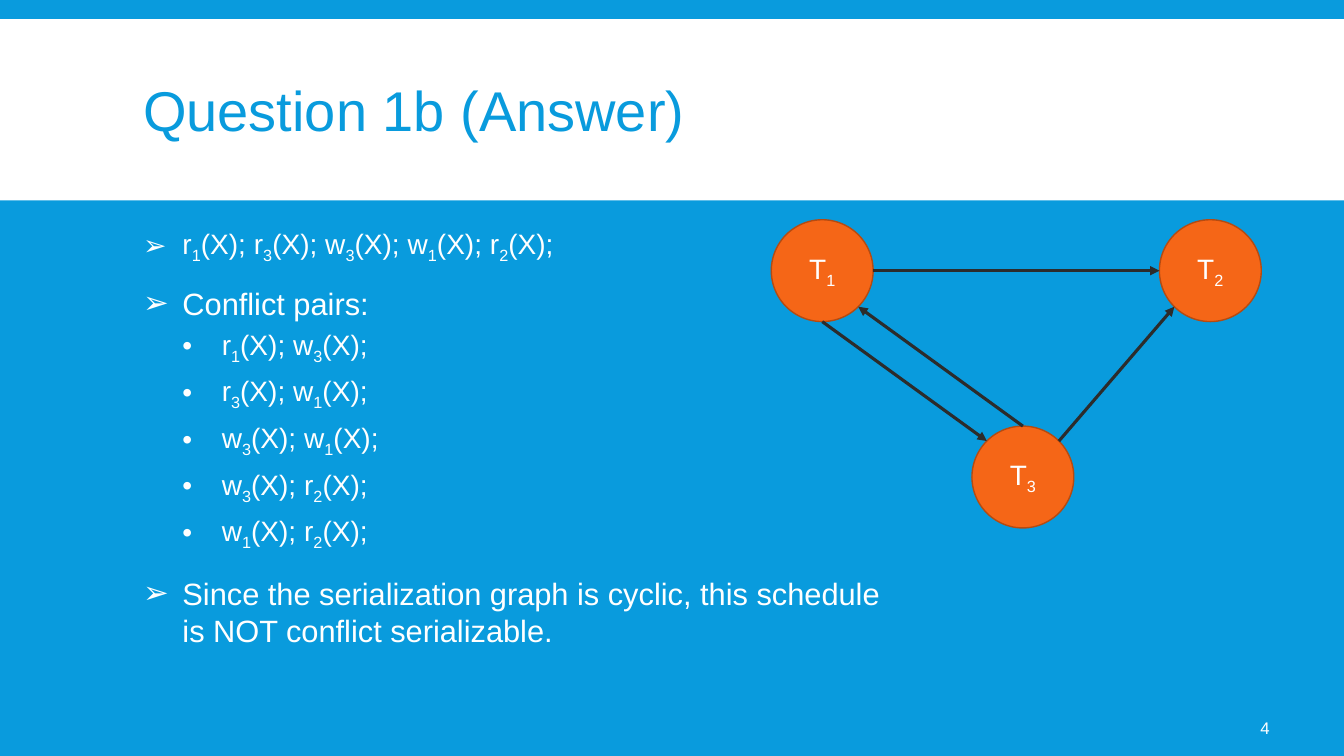
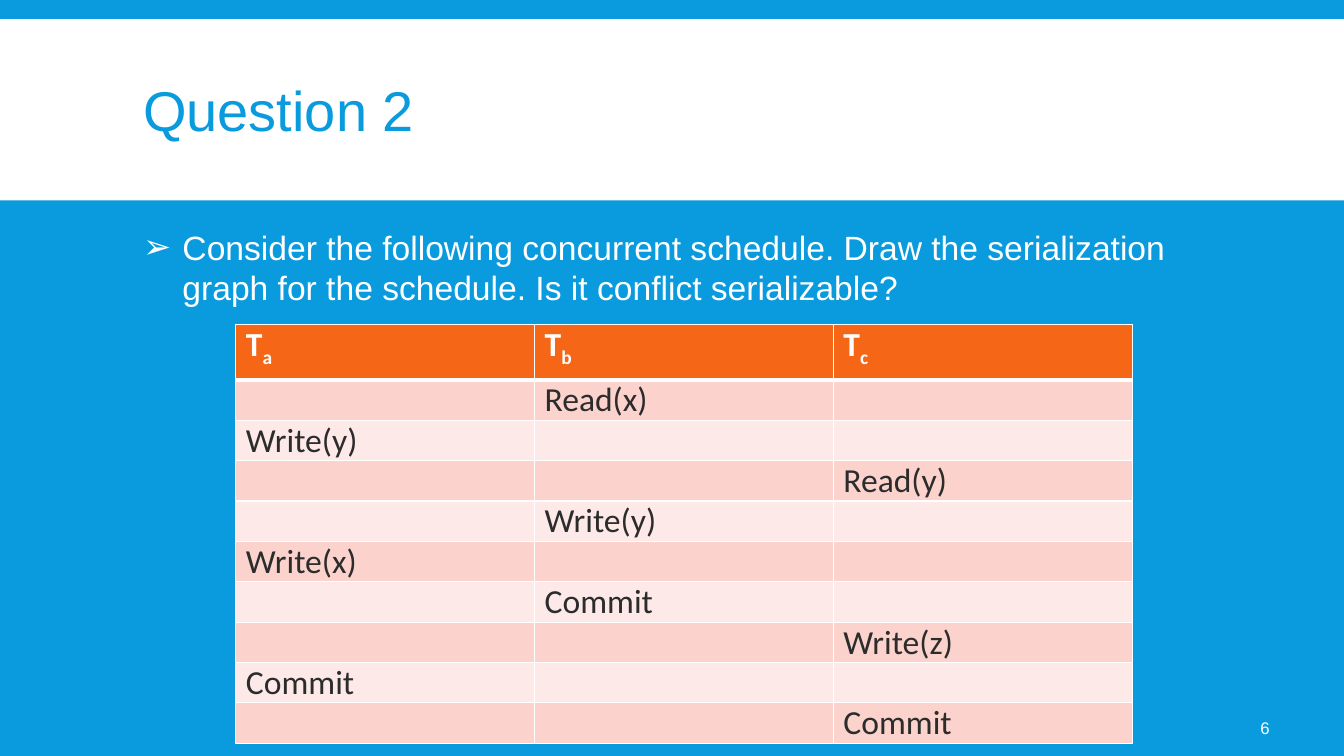
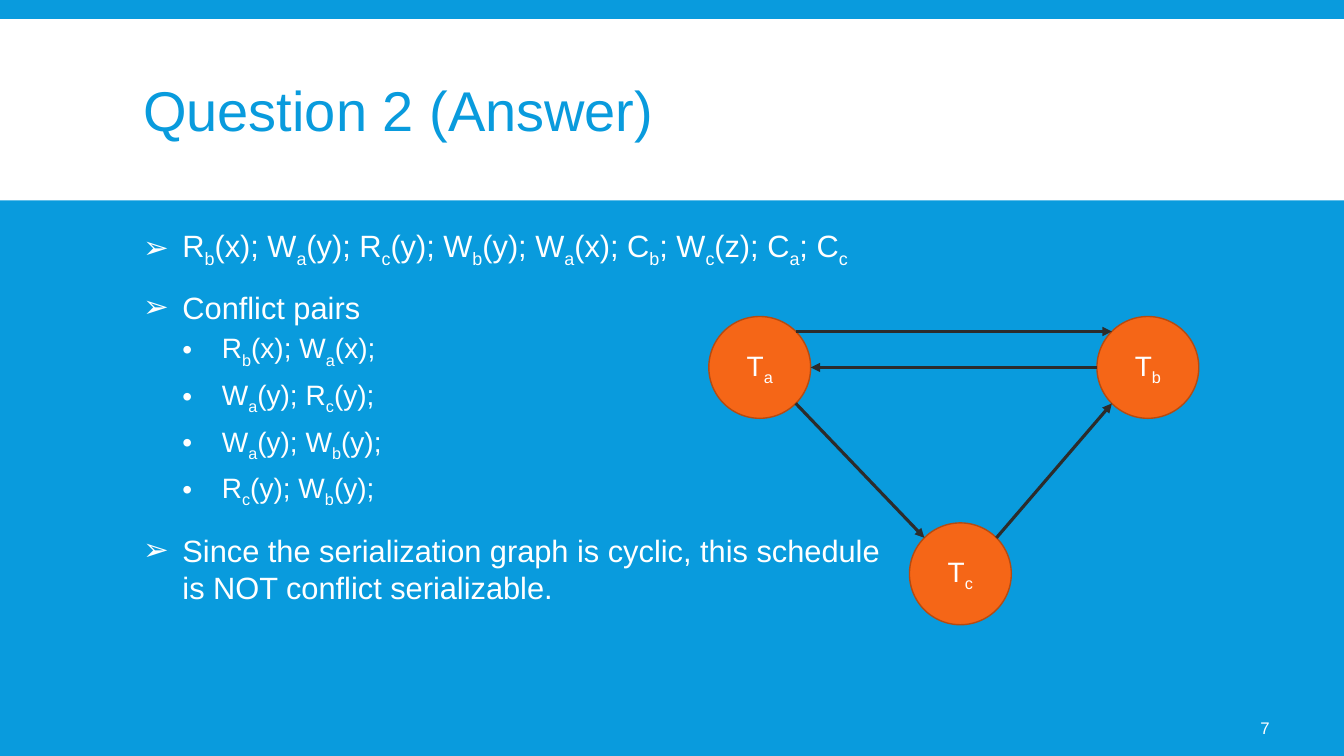
from math import cos, radians, sin

from lxml.etree import SubElement
from pptx import Presentation
from pptx.dml.color import RGBColor
from pptx.enum.shapes import MSO_CONNECTOR, MSO_SHAPE
from pptx.enum.text import MSO_ANCHOR, MSO_AUTO_SIZE, PP_ALIGN
from pptx.oxml import parse_xml
from pptx.oxml.ns import nsdecls, qn
from pptx.util import Inches, Pt

BLUE, WHITE, DARK = "099BDD", "FFFFFF", "2C2C2C"
ORANGE, RUST = "F56617", "B54B11"
ROW_FILLS = ("FBD3CC", "FDEAE8")

# Directions on a node's rim, in degrees clockwise from the right
RIGHT, BOTTOM_RIGHT, BOTTOM, BOTTOM_LEFT = 0, 45, 90, 135
LEFT, TOP_LEFT, TOP, TOP_RIGHT = 180, 225, 270, 315

NODE_SIZE = 7.58
NODE_OFFSETS = ((0, 0), (28.88, 0), (14.93, 27.3))
CONCLUSION = (0, 22, "Since the serialization graph is cyclic, this schedule \n"
                     "is NOT conflict serializable.")


def rgb(color):
    return RGBColor.from_string(color)


def paint(shape, fill, line=None):
    shape.shadow.inherit = False
    shape.fill.solid()
    shape.fill.fore_color.rgb = rgb(fill)
    if line:
        shape.line.color.rgb = rgb(line)
        shape.line.width = Pt(1)
    else:
        shape.line.fill.background()


def write(p, text, size, color=WHITE, font="Arial", bold=False):
    """Fill a paragraph; the character after each underscore is a subscript."""
    def add(piece, subscript=False):
        for i, line in enumerate(piece.split("\n")):
            if i:
                p.add_line_break()
            if not line:
                continue
            r = p.add_run()
            r.text = line
            r.font.size, r.font.name, r.font.bold = Pt(size), font, bold
            r.font.color.rgb = rgb(color)
            if subscript:
                r.font._element.set("baseline", "-25000")

    first, *rest = text.split("_")
    add(first)
    for piece in rest:
        add(piece[0], subscript=True)
        add(piece[1:])


def set_bullet(p, level):
    pPr = p._p.get_or_add_pPr()
    pPr.set("marL", str(Inches(0.39 * (level + 1))))
    pPr.set("indent", str(Inches(-0.39)))
    SubElement(SubElement(pPr, qn("a:buClr")), qn("a:srgbClr")).set("val", WHITE)
    SubElement(pPr, qn("a:buFont")).set("typeface", "Arial")
    SubElement(pPr, qn("a:buChar")).set("char", "➢•"[level])


def set_borders(cell, top, bottom):
    tcPr = cell._tc.get_or_add_tcPr()
    sides = (("L", 1), ("R", 1), ("T", top), ("B", bottom))
    for i, (side, width) in enumerate(sides):
        tcPr.insert(i, parse_xml(
            f'<a:ln{side} {nsdecls("a")} w="{Pt(width)}"><a:solidFill>'
            f'<a:srgbClr val="{WHITE}"/></a:solidFill></a:ln{side}>'))


class Deck:
    """Style and current slide; lengths are percentages of the slide's size."""

    def __init__(self):
        self.prs = Presentation()
        self.prs.slide_width, self.prs.slide_height = Inches(13.33), Inches(7.5)
        fill = self.prs.slide_master.background.fill
        fill.solid()
        fill.fore_color.rgb = rgb(BLUE)

    def x(self, share):
        return round(self.prs.slide_width * share / 100)

    def y(self, share):
        return round(self.prs.slide_height * share / 100)

    def box(self, left, top, width, height):
        return self.x(left), self.y(top), self.x(width), self.y(height)

    def place(self, sp, *shares):
        sp.left, sp.top, sp.width, sp.height = self.box(*shares)

    def slide(self, title, number):
        self.s = self.prs.slides.add_slide(self.prs.slide_layouts[1])
        band = self.s.shapes.add_shape(MSO_SHAPE.RECTANGLE, *self.box(0, 2.53, 100, 24))
        paint(band, WHITE)
        self.s.shapes._spTree.insert(2, band._element)

        sp = self.s.shapes.title
        self.place(sp, 9.9, 4.13, 80.25, 22)
        tf = sp.text_frame
        tf.vertical_anchor, tf.auto_size = MSO_ANCHOR.MIDDLE, MSO_AUTO_SIZE.NONE
        p = tf.paragraphs[0]
        p.alignment, p.line_spacing = PP_ALIGN.LEFT, 0.85
        write(p, title, 40, BLUE)

        tf = self.s.shapes.add_textbox(*self.box(87.47, 93.6, 7.73, 5.33)).text_frame
        tf.word_wrap, tf.vertical_anchor = True, MSO_ANCHOR.MIDDLE
        tf.margin_left = Inches(0.05)
        p = tf.paragraphs[0]
        p.alignment = PP_ALIGN.RIGHT
        write(p, str(number), 12)

    def bullets(self, *items):
        """Fill the body with (level, size, text) items."""
        sp = self.s.placeholders[1]
        self.place(sp, 9.9, 29.33, 80.25, 61.33)
        tf = sp.text_frame
        tf.auto_size = MSO_AUTO_SIZE.NONE
        for i, (level, size, text) in enumerate(items):
            p = tf.add_paragraph() if i else tf.paragraphs[0]
            p.level = level
            p.space_before, p.space_after = ((Pt(12), Pt(2)), (Pt(2), Pt(4)))[level]
            set_bullet(p, level)
            write(p, text, size)

    def node(self, left, top, label):
        sp = self.s.shapes.add_shape(
            MSO_SHAPE.OVAL, self.x(left), self.y(top), self.x(NODE_SIZE), self.x(NODE_SIZE))
        paint(sp, ORANGE, RUST)
        tf = sp.text_frame
        tf.vertical_anchor = MSO_ANCHOR.MIDDLE
        p = tf.paragraphs[0]
        p.alignment = PP_ALIGN.CENTER
        write(p, label, 20)
        return sp

    def arrow(self, start, end):
        line = self.s.shapes.add_connector(MSO_CONNECTOR.STRAIGHT, *start, *end)
        line.line.color.rgb = rgb(DARK)
        line.line.width = Pt(2.25)
        SubElement(line.line._get_or_add_ln(), qn("a:tailEnd")).set("type", "triangle")
        SubElement(line._element.spPr, qn("a:effectLst"))

    def graph(self, left, top, labels, edges):
        """Draw three nodes and (from, direction, to, direction) arrows."""
        nodes = [self.node(left + dx, top + dy, label)
                 for label, (dx, dy) in zip(labels, NODE_OFFSETS)]

        def rim(index, angle):
            sp, a = nodes[index], radians(angle)
            return (round(sp.left + sp.width * (1 + cos(a)) / 2),
                    round(sp.top + sp.height * (1 + sin(a)) / 2))

        for source, leave, target, arrive in edges:
            self.arrow(rim(source, leave), rim(target, arrive))

    def schedule(self, headers, steps):
        """Draw a table with one (column, operation) step in each row."""
        rows = [headers] + [
            [text if c == column else "" for c in range(len(headers))]
            for column, text in steps]
        table = self.s.shapes.add_table(
            len(rows), len(headers), *self.box(17.55, 42.93, 66.69, 55.3)).table
        for i, values in enumerate(rows):
            table.rows[i].height = self.y(5.33 if i else 7.33)
            for j, text in enumerate(values):
                cell = table.cell(i, j)
                cell.margin_top = cell.margin_bottom = 0
                cell.fill.solid()
                cell.fill.fore_color.rgb = rgb(ROW_FILLS[(i - 1) % 2] if i else ORANGE)
                set_borders(cell, top=3 if i == 1 else 1, bottom=1 if i else 3)
                write(cell.text_frame.paragraphs[0], text, 24,
                      DARK if i else WHITE, "Calibri", bold=not i)


def main():
    deck = Deck()

    deck.slide("Question 1b (Answer)", 4)
    deck.bullets(
        (0, 20, "r_1(X); r_3(X); w_3(X); w_1(X); r_2(X);"),
        (0, 22, "Conflict pairs:"),
        (1, 20, "r_1(X); w_3(X);"),
        (1, 20, "r_3(X); w_1(X);"),
        (1, 20, "w_3(X); w_1(X);"),
        (1, 20, "w_3(X); r_2(X);"),
        (1, 20, "w_1(X); r_2(X);"),
        CONCLUSION)
    deck.graph(57.39, 29.07, ("T_1", "T_2", "T_3"), (
        (0, BOTTOM, 2, TOP_LEFT),
        (2, TOP, 0, BOTTOM_RIGHT),
        (0, RIGHT, 1, LEFT),
        (2, TOP_RIGHT, 1, BOTTOM_LEFT)))

    deck.slide("Question 2", 6)
    deck.bullets((0, 24, "Consider the following concurrent schedule. Draw the serialization "
                         "graph for the schedule. Is it conflict serializable?"))
    deck.schedule(("T_a", "T_b", "T_c"), (
        (1, "Read(x)"), (0, "Write(y)"), (2, "Read(y)"),
        (1, "Write(y)"), (0, "Write(x)"), (1, "Commit"),
        (2, "Write(z)"), (0, "Commit"), (2, "Commit")))

    deck.slide("Question 2 (Answer)", 7)
    deck.bullets(
        (0, 22, "R_b(x); W_a(y); R_c(y); W_b(y); W_a(x); C_b; W_c(z); C_a; C_c"),
        (0, 22, "Conflict pairs"),
        (1, 20, "R_b(x); W_a(x);"),
        (1, 20, "W_a(y); R_c(y);"),
        (1, 20, "W_a(y); W_b(y);"),
        (1, 20, "R_c(y); W_b(y);"),
        CONCLUSION)
    deck.graph(52.74, 41.87, ("T_a", "T_b", "T_c"), (
        (0, BOTTOM_RIGHT, 2, TOP_LEFT),
        (1, LEFT, 0, RIGHT),
        (0, TOP_RIGHT, 1, TOP_LEFT),
        (2, TOP_RIGHT, 1, BOTTOM_LEFT)))

    deck.prs.save("out.pptx")


if __name__ == "__main__":
    main()
